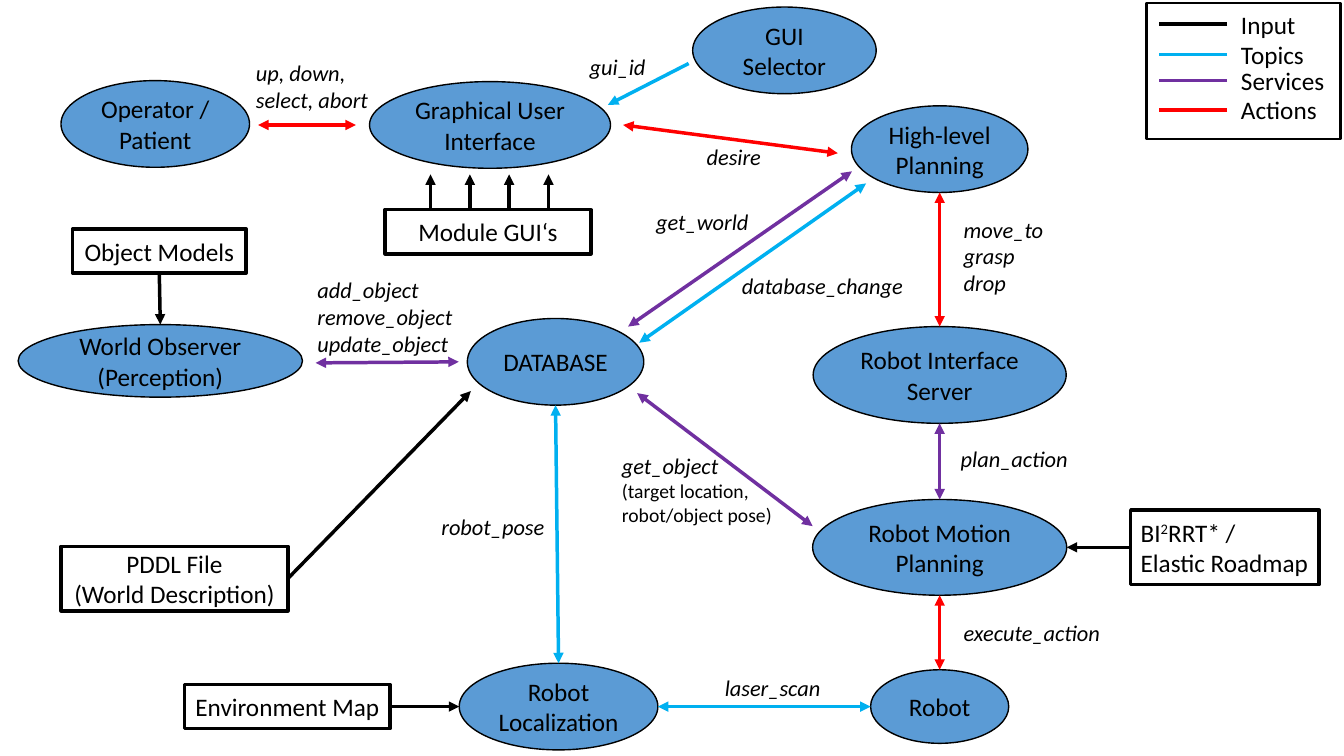
from pptx import Presentation
from pptx.dml.color import RGBColor
from pptx.enum.shapes import MSO_CONNECTOR, MSO_SHAPE
from pptx.enum.text import MSO_ANCHOR, MSO_AUTO_SIZE, PP_ALIGN
from pptx.oxml.ns import qn
from pptx.util import Inches, Pt
from lxml import etree

OVAL, BOX = MSO_SHAPE.OVAL, MSO_SHAPE.RECTANGLE
LINE = MSO_CONNECTOR.STRAIGHT
CENTER, LEFT = PP_ALIGN.CENTER, PP_ALIGN.LEFT
MIDDLE, TOP = MSO_ANCHOR.MIDDLE, MSO_ANCHOR.TOP
FONT = "Calibri"
COLORS = {"input": "000000", "topic": "00B0F0", "service": "7030A0",
          "action": "FF0000", "node": "5B9BD5", "text": "000000"}

# Grid: column centres and row centres, in inches
COLUMNS = {"observer": 1.59, "interface": 4.86, "database": 5.51, "planning": 9.32}
ROWS = {"interface": 1.24, "database": 3.59, "motion": 5.43, "robot": 7.01}

# Nodes: name -> (centre x, centre y, width, height, text)
OVALS = {
    "database": (COLUMNS["database"], ROWS["database"], 1.75, 0.86, "DATABASE"),
    "planning": (COLUMNS["planning"], 1.48, 1.75, 0.86, "High-level Planning"),
    "server": (COLUMNS["planning"], 3.72, 2.51, 0.96, "Robot Interface Server"),
    "observer": (COLUMNS["observer"], 3.58, 2.82, 0.72, "World Observer (Perception)"),
    "localization": (5.54, ROWS["robot"], 1.97, 0.86, "Robot Localization"),
    "motion": (COLUMNS["planning"], ROWS["motion"], 2.52, 0.95, "Robot Motion Planning"),
    "operator": (1.54, 1.23, 1.87, 0.86, "Operator / Patient"),
    "interface": (COLUMNS["interface"], ROWS["interface"], 2.39, 0.86,
                  "Graphical User Interface"),
    "robot": (COLUMNS["planning"], ROWS["robot"], 1.37, 0.73, "Robot"),
    "selector": (7.78, 0.5, 1.82, 0.86, "GUI Selector"),
}
BOXES = {
    "pddl": (1.73, 5.74, 2.25, 0.64, "PDDL File\n(World Description)"),
    "map": (2.85, ROWS["robot"], 2.04, 0.44, "Environment Map"),
    "models": (1.58, 2.49, 1.72, 0.44, "Object Models"),
    "roadmap": (12.15, ROWS["motion"], 1.87, 0.74, "BI^2^RRT* /\nElastic Roadmap"),
    "modules": (4.84, 2.3, 2.04, 0.44, "Module GUI‘s"),
}
LEFT_ALIGNED = {"roadmap"}
NODES = {**OVALS, **BOXES}

# Arrows: (kind, start, end); an end is a node side or a free point
TWO_WAY = [
    ("service", (4.55, 3.59), (3.13, 3.6)),
    ("service", (8.45, 1.7), (6.23, 3.24)),
    ("topic", (6.34, 3.4), (8.59, 1.82)),
    ("service", (8.06, 5.22), (6.32, 3.9)),
    ("action", (3.53, 1.24), (2.56, 1.24)),
    ("action", (8.31, 1.52), (6.18, 1.24)),
    ("action", "server top", "planning bottom"),
    ("service", "motion top", "server bottom"),
    ("action", "robot top", "motion bottom"),
    ("topic", "localization top", "database bottom"),
    ("topic", "localization right", "robot left"),
]
ONE_WAY = [
    ("input", "pddl right", (4.67, 3.88)),
    ("input", "map right", "localization left"),
    ("input", "models bottom", "observer top"),
    ("input", "roadmap left", "motion right"),
    ("topic", (6.83, 0.63), (6.03, 1.04)),
]
MODULE_ARROWS = {"count": 4, "first": 4.27, "gap": 0.39, "from": 2.09, "to": 1.73}

# Labels: (left, top, width, height, text)
LABELS = [
    (3.05, 2.69, 1.55, 0.91, "add_object\nremove_object\nupdate_object"),
    (6.41, 2.02, 1.17, 0.37, "get_world"),
    (9.46, 2.09, 1.11, 0.91, "move_to\ngrasp\ndrop"),
    (4.28, 5.04, 1.33, 0.37, "robot_pose"),
    (6.07, 4.44, 2.04, 0.84, "get_object\n(target location, robot/object pose)"),
    (9.43, 4.37, 1.59, 0.37, "plan_action"),
    (7.26, 2.65, 1.83, 0.37, "database_change"),
    (2.44, 0.54, 1.74, 0.64, "up, down,\nselect, abort"),
    (6.91, 1.37, 0.81, 0.37, "desire"),
    (9.46, 6.09, 1.59, 0.37, "execute_action"),
    (7.09, 6.64, 1.33, 0.37, "laser_scan"),
    (5.75, 0.48, 0.87, 0.37, "gui_id"),
]
LEGEND = [("input", "Input", 0.24), ("topic", "Topics", 0.54),
          ("service", "Services", 0.8), ("action", "Actions", 1.09)]
LEGEND_FRAME = (11.37, 0.03, 1.93, 1.35)
LEGEND_LINE = (11.5, 12.17)


def color(name):
    return RGBColor.from_string(COLORS[name])


def write(shape, text, size, align, anchor, italic=False):
    """Newlines part paragraphs, ^ encloses superscript, brackets in labels are upright."""
    frame = shape.text_frame
    frame.word_wrap = True
    frame.vertical_anchor = anchor
    for index, line in enumerate(text.split("\n")):
        paragraph = frame.paragraphs[0] if index == 0 else frame.add_paragraph()
        paragraph.alignment = align
        remark = italic and line.startswith("(")
        for part, piece in enumerate(line.split("^")):
            run = paragraph.add_run()
            run.text = piece
            run.font.name = FONT
            run.font.size = Pt(14 if remark else size)
            run.font.italic = italic and not remark
            run.font.color.rgb = color("text")
            if part % 2:
                run.font._element.set("baseline", "30000")


def add_outline(geometry, left, top, width, height, weight, fill=None):
    shape = slide.shapes.add_shape(geometry, Inches(left), Inches(top),
                                   Inches(width), Inches(height))
    shape.shadow.inherit = False
    if fill:
        shape.fill.solid()
        shape.fill.fore_color.rgb = color(fill)
    else:
        shape.fill.background()
    shape.line.color.rgb = color("input")
    shape.line.width = Pt(weight)
    return shape


def add_node(name, geometry, weight, fill=None):
    x, y, width, height, text = NODES[name]
    shape = add_outline(geometry, x - width / 2, y - height / 2, width, height, weight, fill)
    write(shape, text, 18, LEFT if name in LEFT_ALIGNED else CENTER, MIDDLE)


def add_label(left, top, width, height, text, size=16, italic=True):
    box = slide.shapes.add_textbox(Inches(left), Inches(top), Inches(width), Inches(height))
    write(box, text, size, LEFT, TOP, italic)
    box.text_frame.auto_size = MSO_AUTO_SIZE.SHAPE_TO_FIT_TEXT


def locate(end):
    if isinstance(end, tuple):
        return end
    name, side = end.split()
    x, y, width, height, _ = NODES[name]
    across, down = {"top": (0, -1), "bottom": (0, 1), "left": (-1, 0), "right": (1, 0)}[side]
    return x + across * width / 2, y + down * height / 2


def add_line(kind, start, end, arrowheads=()):
    points = [Inches(value) for value in (*locate(start), *locate(end))]
    connector = slide.shapes.add_connector(LINE, *points)
    connector.line.color.rgb = color(kind)
    connector.line.width = Pt(2.5)
    properties = connector._element.spPr
    for tag in arrowheads:
        etree.SubElement(properties.find(qn("a:ln")), qn(tag), type="triangle")
    etree.SubElement(properties, qn("a:effectLst"))


presentation = Presentation()
presentation.slide_width, presentation.slide_height = Inches(13.33), Inches(7.5)
slide = presentation.slides.add_slide(presentation.slide_layouts[6])

# Legend
add_outline(BOX, *LEGEND_FRAME, 2)
for kind, text, y in LEGEND:
    add_line(kind, (LEGEND_LINE[1], y), (LEGEND_LINE[0], y))
    add_label(12.21, y - 0.2, 1.09, 0.4, text, size=18, italic=False)

# Nodes and input boxes
for name in OVALS:
    add_node(name, OVAL, 1, "node")
for name in BOXES:
    add_node(name, BOX, 2.5)

# Arrows
for arrow in TWO_WAY:
    add_line(*arrow, ("a:headEnd", "a:tailEnd"))
for arrow in ONE_WAY:
    add_line(*arrow, ("a:tailEnd",))
for index in range(MODULE_ARROWS["count"]):
    x = MODULE_ARROWS["first"] + index * MODULE_ARROWS["gap"]
    add_line("input", (x, MODULE_ARROWS["from"]), (x, MODULE_ARROWS["to"]), ("a:tailEnd",))

# Arrow labels
for label in LABELS:
    add_label(*label)

presentation.save("out.pptx")
